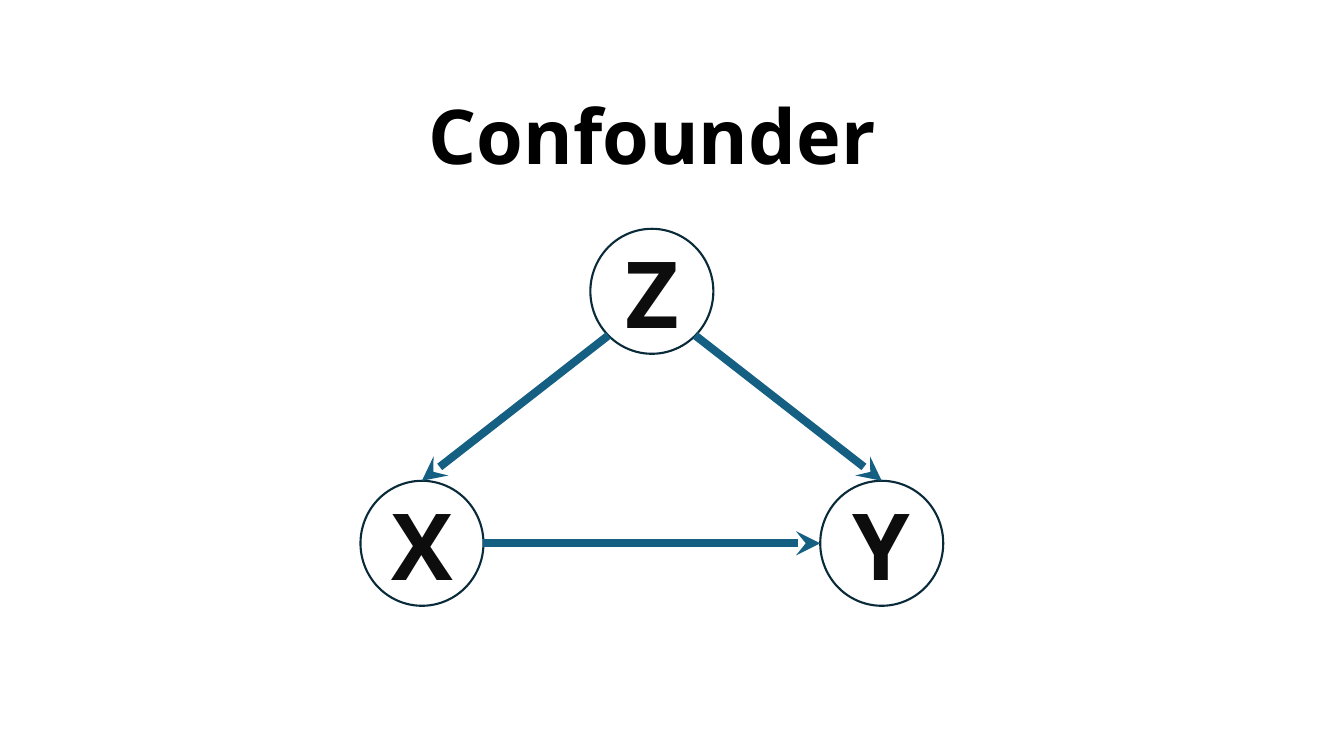
from dataclasses import dataclass
from math import cos, radians, sin
from typing import Any

from lxml import etree
from pptx import Presentation
from pptx.dml.color import RGBColor
from pptx.enum.shapes import MSO_CONNECTOR, MSO_SHAPE
from pptx.enum.text import MSO_ANCHOR, MSO_AUTO_SIZE, PP_ALIGN
from pptx.oxml.ns import qn
from pptx.util import Inches, Pt

ELLIPSE = MSO_SHAPE.OVAL
STRAIGHT = MSO_CONNECTOR.STRAIGHT
CENTER = PP_ALIGN.CENTER
MIDDLE, TOP = MSO_ANCHOR.MIDDLE, MSO_ANCHOR.TOP
GROW, FIXED = MSO_AUTO_SIZE.SHAPE_TO_FIT_TEXT, MSO_AUTO_SIZE.NONE

SLIDE_WIDTH, SLIDE_HEIGHT = 13.33, 7.5
AXIS_X, APEX_Y = 6.465, 2.89
COLUMN, ROW = 2.28, 2.5
NODE_WIDTH, NODE_HEIGHT = 1.22, 1.24
EAST, SOUTH_EAST, SOUTH_WEST, WEST, NORTH = 0, 45, 135, 180, 270


@dataclass(frozen=True)
class Variable:
    label: str
    column: int
    row: int

    @property
    def center(self) -> tuple[float, float]:
        return AXIS_X + self.column * COLUMN, APEX_Y + self.row * ROW

    def rim(self, angle: int) -> tuple[float, float]:
        x, y = self.center
        turn = radians(angle)
        return x + NODE_WIDTH / 2 * cos(turn), y + NODE_HEIGHT / 2 * sin(turn)


@dataclass(frozen=True)
class Effect:
    cause: Variable
    leaves: int
    outcome: Variable
    enters: int


EXPOSURE = Variable("X", -1, 1)
OUTCOME = Variable("Y", 1, 1)
CONFOUNDER = Variable("Z", 0, 0)
EFFECTS = (
    Effect(EXPOSURE, EAST, OUTCOME, WEST),
    Effect(CONFOUNDER, SOUTH_WEST, EXPOSURE, NORTH),
    Effect(CONFOUNDER, SOUTH_EAST, OUTCOME, NORTH),
)


def color(hex_value: str) -> RGBColor:
    return RGBColor.from_string(hex_value)


def apply(target: Any, values: dict[str, Any]) -> None:
    for attribute, value in values.items():
        setattr(target, attribute, value)


def write(shape: Any, words: str, size: int, hex_value: str, frame_format: dict[str, Any]) -> None:
    frame = shape.text_frame
    apply(frame, frame_format)
    paragraph = frame.paragraphs[0]
    paragraph.alignment = CENTER
    run = paragraph.add_run()
    run.text = words
    apply(run.font, {"name": "Noto Sans", "size": Pt(size), "bold": True})
    run.font.color.rgb = color(hex_value)


def stroke(line: Any, hex_value: str, width: float) -> None:
    line.color.rgb = color(hex_value)
    line.width = Pt(width)


def draw_variable(slide: Any, variable: Variable) -> None:
    x, y = variable.center
    box = (x - NODE_WIDTH / 2, y - NODE_HEIGHT / 2, NODE_WIDTH, NODE_HEIGHT)
    node = slide.shapes.add_shape(ELLIPSE, *map(Inches, box))
    node.shadow.inherit = False
    node.fill.background()
    stroke(node.line, "092A39", 1.5)
    write(node, variable.label, 66, "0D0D0D",
          {"vertical_anchor": MIDDLE, "word_wrap": True, "auto_size": FIXED})


def draw_effect(slide: Any, effect: Effect) -> None:
    ends = effect.cause.rim(effect.leaves) + effect.outcome.rim(effect.enters)
    arrow = slide.shapes.add_connector(STRAIGHT, *map(Inches, ends))
    stroke(arrow.line, "156082", 5.75)
    properties = arrow._element.spPr
    etree.SubElement(properties.find(qn("a:ln")), qn("a:tailEnd"), type="stealth")
    etree.SubElement(properties, qn("a:effectLst"))


def draw_title(slide: Any) -> None:
    title = slide.shapes.title
    width = 6.97
    apply(title, {
        "left": Inches(AXIS_X - width / 2),
        "top": Inches(0.83),
        "width": Inches(width),
        "height": Inches(1.01),
    })
    write(title, "Confounder", 54, "000000",
          {"vertical_anchor": TOP, "word_wrap": True, "auto_size": GROW})


deck = Presentation()
apply(deck, {"slide_width": Inches(SLIDE_WIDTH), "slide_height": Inches(SLIDE_HEIGHT)})
confounding = deck.slides.add_slide(deck.slide_layouts.get_by_name("Title Only"))
for variable in (EXPOSURE, OUTCOME, CONFOUNDER):
    draw_variable(confounding, variable)
for effect in EFFECTS:
    draw_effect(confounding, effect)
draw_title(confounding)
deck.save("out.pptx")
